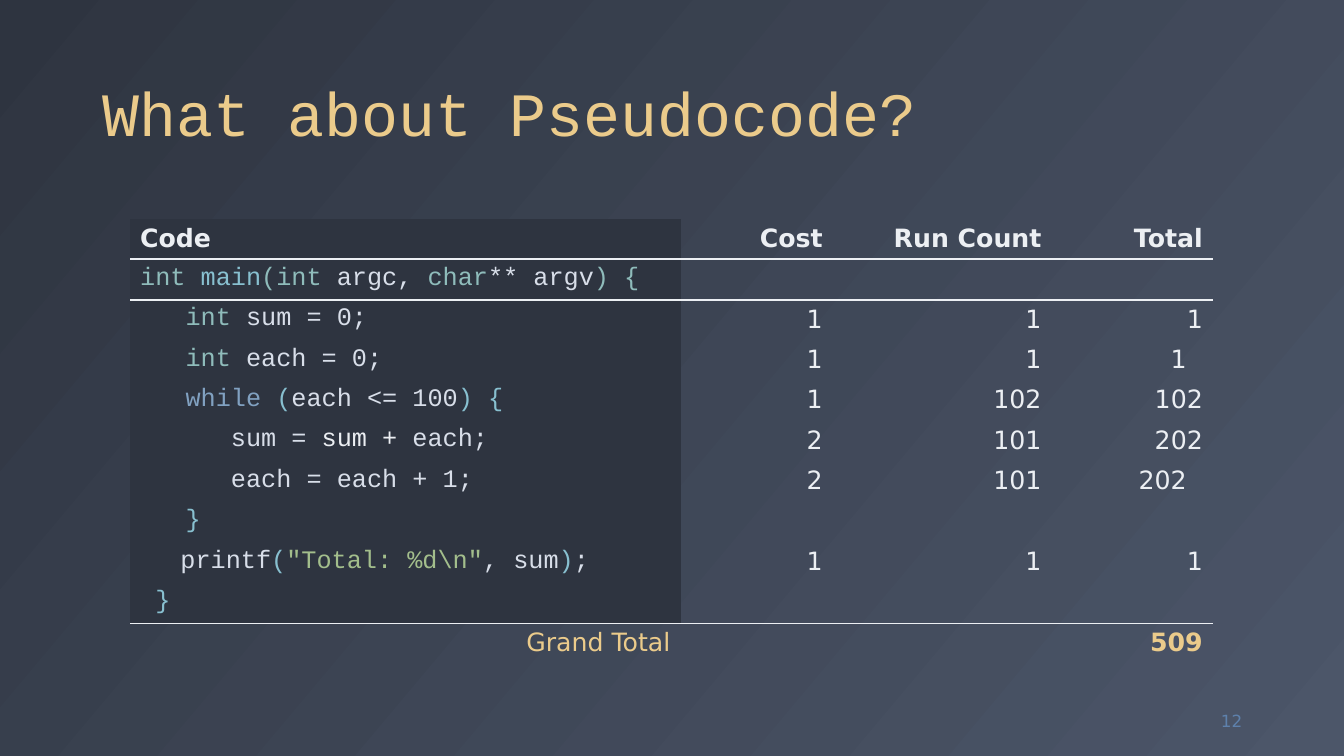
from lxml import etree
from pptx import Presentation
from pptx import util as u
from pptx.dml.color import RGBColor
from pptx.enum import text
from pptx.oxml import ns

COLORS = {
    "dark": "2E3440", "slate": "4C5669", "white": "ECEFF3", "plain": "D8DEE9",
    "yellow": "EBCB8B", "type": "8FBCBB", "call": "88C0D0", "keyword": "81A1C1",
    "string": "A3BE8C", "number": "5E81AC",
}
CODE, BODY = "Courier New", "DejaVu Sans"
LEFT, RIGHT = text.PP_ALIGN.LEFT, text.PP_ALIGN.RIGHT


def write(tf, *runs, font=BODY, size=18, bold=False, align=LEFT):
    """Fill the first paragraph with (words, color) runs."""
    p = tf.paragraphs[0]
    p.alignment = align
    for words, color in runs:
        r = p.add_run()
        r.text = words
        r.font.name, r.font.size, r.font.bold = font, u.Pt(size), bold
        r.font.color.rgb = RGBColor.from_string(COLORS[color])
    return p


def rule(cell, side, width):
    """Draw a border on one side of a cell."""
    ln = etree.Element(ns.qn(f"a:{side}"), w=str(u.Pt(width)))
    fill = etree.SubElement(ln, ns.qn("a:solidFill"))
    etree.SubElement(fill, ns.qn("a:srgbClr"), val=COLORS["white"])
    cell._tc.get_or_add_tcPr().insert(0, ln)


prs = Presentation()
prs.slide_width, prs.slide_height = u.Inches(13.33), u.Inches(7.5)
s = prs.slides.add_slide(prs.slide_layouts[5])

# Background
bg = s.background.fill
bg.gradient()
bg.gradient_angle = 320
for stop, position, color in zip(bg.gradient_stops, (0, 1), ("dark", "slate")):
    stop.position = position
    stop.color.rgb = RGBColor.from_string(COLORS[color])

# Title
title = s.shapes.title
title.left, title.top = u.Inches(0.92), u.Inches(0.18)
title.width, title.height = u.Inches(11.5), u.Inches(1.36)
tf = title.text_frame
tf.vertical_anchor = text.MSO_ANCHOR.BOTTOM
p = write(tf, ("What about Pseudocode?", "yellow"), font=CODE, size=44)
p.line_spacing = 0.9

# Code lines: indent in inches, colored runs, then cost, run count and total
lines = [
    (0, [("int ", "type"), ("main", "call"), ("(int ", "type"), ("argc, ", "plain"),
         ("char", "type"), ("** argv", "plain"), (") {", "type")], ()),
    (0.45, [("int ", "type"), ("sum = 0;", "plain")], ("1", "1", "1")),
    (0.45, [("int ", "type"), ("each = 0;", "plain")], ("1", "1", "1")),
    (0.45, [("while ", "keyword"), ("(", "call"), ("each <= 100", "plain"),
            (") {", "call")], ("1", "102", "102")),
    (0.9, [("sum = ", "plain"), ("sum + ", "white"), ("each;", "plain")],
     ("2", "101", "202")),
    (0.9, [("each = each + 1;", "plain")], ("2", "101", "202")),
    (0.45, [("}", "call")], ()),
    (0.4, [("printf", "plain"), ("(", "call"), ('"Total: %d\\n"', "string"),
           (", sum", "plain"), (")", "call"), (";", "plain")], ("1", "1", "1")),
    (0.15, [("}", "call")], ()),
]
headings = ["Code", "Cost", "Run Count", "Total"]
widths = [5.46, 1.51, 2.17, 1.6]
last = len(lines) + 1
inset_totals = (3, 6)

# Table without style, then its fills and rules
table = s.shapes.add_table(last + 1, len(widths), u.Inches(1.29), u.Inches(2.17),
                           u.Inches(sum(widths)), u.Inches(0.4 * (last + 1))).table
table.first_row = table.horz_banding = False
style = table._tbl.tblPr.find(ns.qn("a:tableStyleId"))
style.text = "{2D5ABB26-0587-4C30-8999-92F81FD0307C}"
for column, width in zip(table.columns, widths):
    column.width = u.Inches(width)
for i, row in enumerate(table.rows):
    row.height = u.Inches(0.4)
    for j, cell in enumerate(row.cells):
        if j == 0 and i < last:
            cell.fill.solid()
            cell.fill.fore_color.rgb = RGBColor.from_string(COLORS["dark"])
        else:
            cell.fill.background()
for j in range(len(widths)):
    for i, side, width in ((0, "lnB", 2.25), (1, "lnT", 2.25),
                           (last - 1, "lnB", 1), (last, "lnT", 1)):
        rule(table.cell(i, j), side, width)

# Header row
for j, heading in enumerate(headings):
    write(table.cell(0, j).text_frame, (heading, "white"), bold=True,
          align=RIGHT if j else LEFT)

# Code rows
for i, (indent, runs, values) in enumerate(lines, 1):
    code = table.cell(i, 0)
    code.margin_left = u.Inches(0.1 + indent)
    write(code.text_frame, *runs, font=CODE)
    for j, value in enumerate(values, 1):
        write(table.cell(i, j).text_frame, (value, "white"), align=RIGHT)
for i in inset_totals:
    table.cell(i, 3).margin_right = u.Inches(0.26)

# Grand total row
write(table.cell(last, 0).text_frame, ("Grand Total", "yellow"), align=RIGHT)
write(table.cell(last, 3).text_frame, ("509", "yellow"), bold=True, align=RIGHT)

# Slide number
sp = s.shapes.add_textbox(u.Inches(11.59), u.Inches(6.95), u.Inches(0.83), u.Inches(0.4))
tf = sp.text_frame
tf.word_wrap = True
tf.vertical_anchor = text.MSO_ANCHOR.MIDDLE
write(tf, ("12", "number"), size=12, align=RIGHT)

prs.save("out.pptx")
